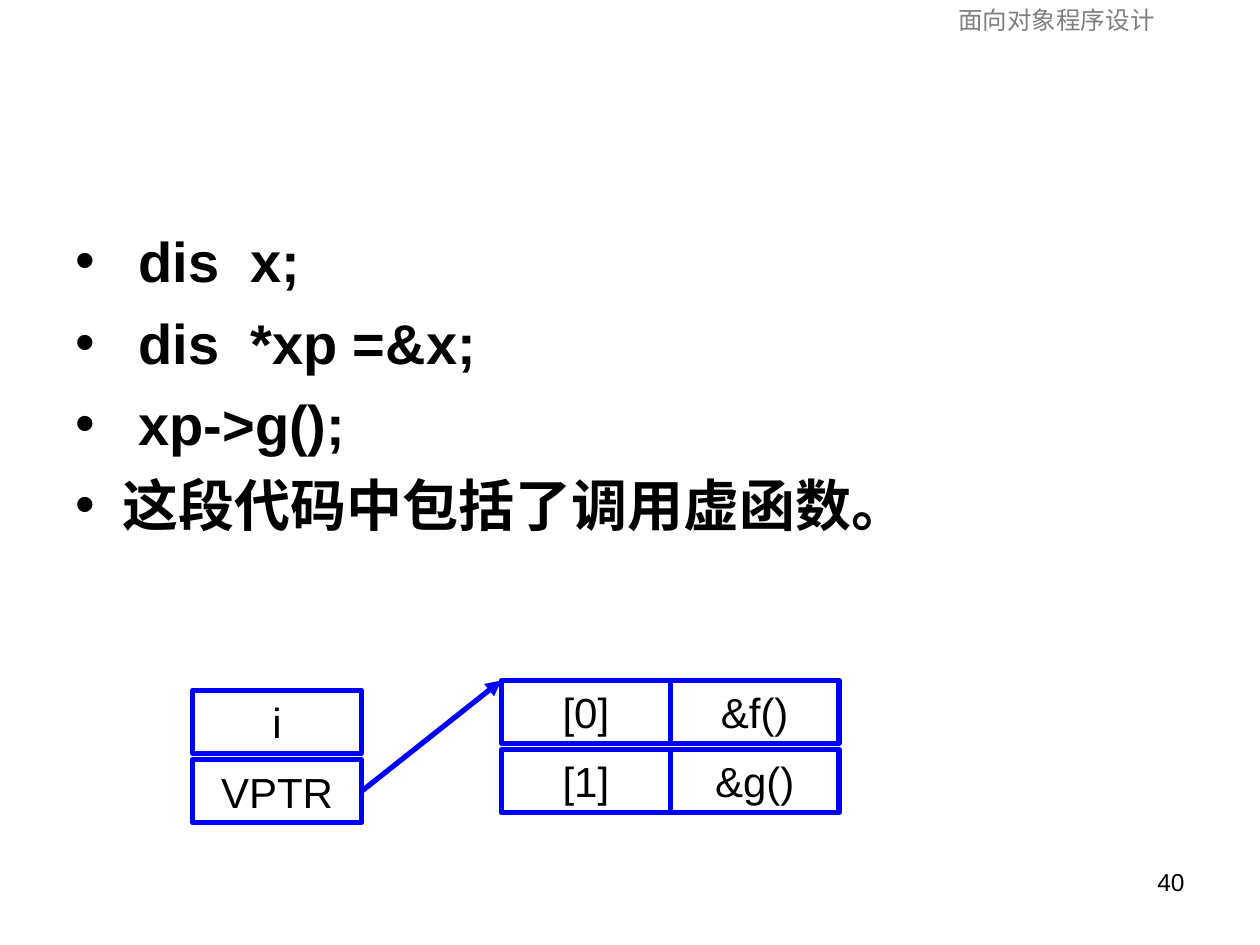
from dataclasses import dataclass
from lxml.etree import SubElement
from pptx import Presentation
from pptx.dml.color import RGBColor
from pptx.enum.shapes import MSO_CONNECTOR, MSO_SHAPE
from pptx.enum.text import MSO_ANCHOR, PP_ALIGN
from pptx.oxml.ns import qn
from pptx.util import Inches, Pt


@dataclass(frozen=True)
class Theme:
    font: str = "Arial"
    ink: RGBColor = RGBColor(0, 0, 0)
    gray: RGBColor = RGBColor(0x7F, 0x7F, 0x7F)
    blue: RGBColor = RGBColor(0, 0, 0xFF)
    small: int = 14
    cell: int = 24
    code: int = 32
    line: int = 3


THEME = Theme()
WIDE, HIGH = 10, 7.5

HEAD = "面向对象程序设计"
PAGE = "40"
LINES = [" dis  x;", " dis  *xp =&x;", " xp->g();", "这段代码中包括了调用虚函数。"]
# Each grid: left, top, rows of labels
OBJECT = (1.53, 5.48, [["i"], ["VPTR"]])
VTABLE = (3.98, 5.4, [["[0]", "&f()"], ["[1]", "&g()"]])
CELL_W, CELL_H, ROW_STEP = 1.34, 0.5, 0.55


def add_run(para, text, size, color=THEME.ink, bold=False):
    run = para.add_run()
    run.text = text
    font = run.font
    font.name, font.size, font.bold = THEME.font, Pt(size), bold
    font.color.rgb = color


def add_note(slide, text, box, align, color):
    frame = slide.shapes.add_textbox(*map(Inches, box)).text_frame
    frame.word_wrap = True
    para = frame.paragraphs[0]
    para.alignment = align
    add_run(para, text, THEME.small, color)


def add_list(slide):
    body = slide.placeholders[1]
    body.left, body.top = Inches(WIDE * 0.05), Inches(1.75)
    body.width, body.height = Inches(WIDE * 0.9), Inches(4.95)
    frame = body.text_frame
    for i, text in enumerate(LINES):
        para = frame.add_paragraph() if i else frame.paragraphs[0]
        para.space_before = Pt(8)
        add_run(para, text, THEME.code, bold=True)


def add_cell(slide, text, left, top):
    box = slide.shapes.add_shape(
        MSO_SHAPE.RECTANGLE, *map(Inches, (left, top, CELL_W, CELL_H)))
    box.shadow.inherit = False
    box.fill.background()
    box.line.color.rgb = THEME.blue
    box.line.width = Pt(THEME.line)
    frame = box.text_frame
    frame.word_wrap = True
    frame.vertical_anchor = MSO_ANCHOR.MIDDLE
    para = frame.paragraphs[0]
    para.alignment = PP_ALIGN.CENTER
    add_run(para, text, THEME.cell)
    return box


def add_grid(slide, left, top, rows):
    return [[add_cell(slide, text, left + c * CELL_W, top + r * ROW_STEP)
             for c, text in enumerate(row)] for r, row in enumerate(rows)]


def add_arrow(slide, start, goal):
    """Point from the right side of start to the top left corner of goal."""
    arrow = slide.shapes.add_connector(
        MSO_CONNECTOR.STRAIGHT, start.left + start.width,
        start.top + start.height // 2, goal.left, goal.top)
    arrow.begin_connect(start, 3)
    arrow.line.color.rgb = THEME.blue
    arrow.line.width = Pt(THEME.line)
    SubElement(arrow.line._get_or_add_ln(), qn("a:tailEnd"), type="triangle")
    SubElement(arrow._element.spPr, qn("a:effectLst"))


def main():
    deck = Presentation()
    deck.slide_width, deck.slide_height = Inches(WIDE), Inches(HIGH)
    slide = deck.slides.add_slide(deck.slide_layouts[1])
    title = slide.shapes.title._element
    title.getparent().remove(title)

    add_note(slide, HEAD, (6.8, -0.01, 3.17, 0.29), PP_ALIGN.CENTER, THEME.gray)
    add_list(slide)
    fields = add_grid(slide, *OBJECT)
    slots = add_grid(slide, *VTABLE)
    add_arrow(slide, fields[1][0], slots[0][0])
    add_note(slide, PAGE, (7.17, 6.83, 2.33, 0.52), PP_ALIGN.RIGHT, THEME.ink)
    deck.save("out.pptx")


if __name__ == "__main__":
    main()
